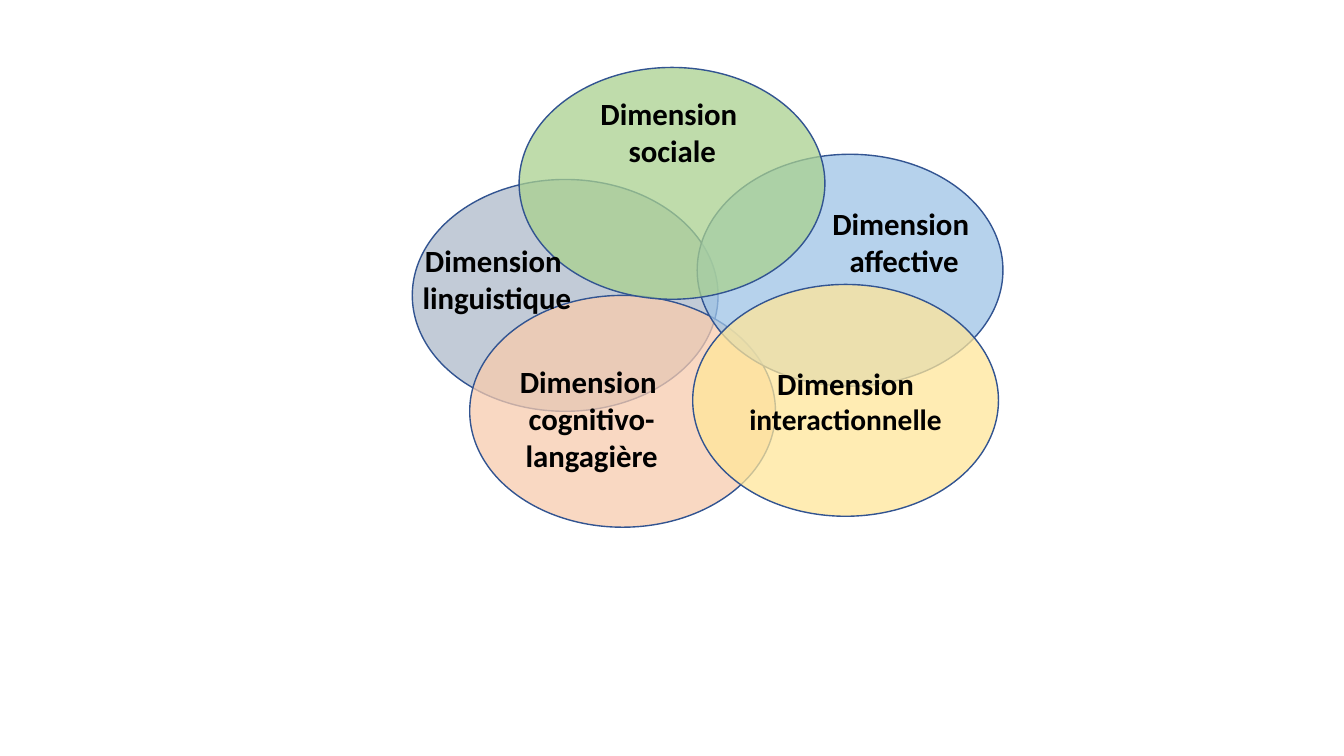
from dataclasses import dataclass

from lxml.etree import SubElement
from pptx import Presentation
from pptx.dml.color import RGBColor
from pptx.enum.shapes import MSO_SHAPE
from pptx.enum.text import MSO_ANCHOR, MSO_AUTO_SIZE, PP_ALIGN
from pptx.oxml.ns import qn
from pptx.util import Pt


@dataclass(frozen=True)
class Theme:
    font: str = "Calibri"
    label_size: float = 22
    long_label_size: float = 21
    text: str = "000000"
    line: str = "325491"
    grey: str = "ADB9CA"
    orange: str = "F8CBAD"
    blue: str = "9DC3E6"
    yellow: str = "FFE699"
    green: str = "A9D18E"
    opacity: int = 74


class DimensionSlide:
    """Draws overlapping ellipses and their labels on one slide."""

    def __init__(self, s, theme):
        self.s = s
        self.theme = theme

    def add_run(self, p, text, size):
        r = p.add_run()
        r.text = text
        style = {"name": self.theme.font, "size": Pt(size), "bold": True}
        for name, value in style.items():
            setattr(r.font, name, value)
        r.font.color.rgb = RGBColor.from_string(self.theme.text)

    def add_ellipse(self, left, top, color, runs=()):
        sp = self.s.shapes.add_shape(
            MSO_SHAPE.OVAL, Pt(left), Pt(top), Pt(218.4), Pt(165.6))
        sp.shadow.inherit = False
        sp.fill.solid()
        sp.fill.fore_color.rgb = RGBColor.from_string(color)
        clr = sp.fill._xPr.find(qn("a:solidFill"))[0]
        SubElement(clr, qn("a:alpha"), val=str(self.theme.opacity * 1000))
        sp.line.color.rgb = RGBColor.from_string(self.theme.line)
        sp.line.width = Pt(1)
        tf = sp.text_frame
        tf.vertical_anchor = MSO_ANCHOR.MIDDLE
        p = tf.paragraphs[0]
        p.alignment = PP_ALIGN.CENTER
        for text, size in runs:
            self.add_run(p, text, size)

    def add_label(self, left, top, height, lines):
        sp = self.s.shapes.add_textbox(
            Pt(left), Pt(top), Pt(145.4), Pt(height))
        tf = sp.text_frame
        frame = {"word_wrap": True, "auto_size": MSO_AUTO_SIZE.SHAPE_TO_FIT_TEXT}
        for name, value in frame.items():
            setattr(tf, name, value)
        for i, text in enumerate(lines):
            p = tf.add_paragraph() if i else tf.paragraphs[0]
            p.alignment = PP_ALIGN.CENTER
            self.add_run(p, text, self.theme.label_size)


def main():
    prs = Presentation()
    prs.slide_width, prs.slide_height = Pt(960), Pt(540)
    theme = Theme()
    slide = DimensionSlide(prs.slides.add_slide(prs.slide_layouts[6]), theme)
    heading = "Dimension "

    interaction = [(heading, theme.label_size),
                   ("interactionnelle", theme.long_label_size)]
    ellipses = [
        (294.5, 128.2, theme.grey, ()),
        (335.5, 211, theme.orange, ()),
        (498, 110.2, theme.blue, ()),
        (494.8, 203.2, theme.yellow, interaction),
        (370.8, 48.2, theme.green, ()),
    ]
    for left, top, color, runs in ellipses:
        slide.add_ellipse(left, top, color, runs)

    labels = [
        (573.1, 142.6, 60.5, "affective"),
        (407.5, 64, 60.5, "sociale"),
        (282.2, 169.2, 60.5, "linguistique"),
        (349.9, 255.6, 87.1, "cognitivo-langagière"),
    ]
    for left, top, height, name in labels:
        slide.add_label(left, top, height, [heading, name])

    prs.save("out.pptx")


if __name__ == "__main__":
    main()
